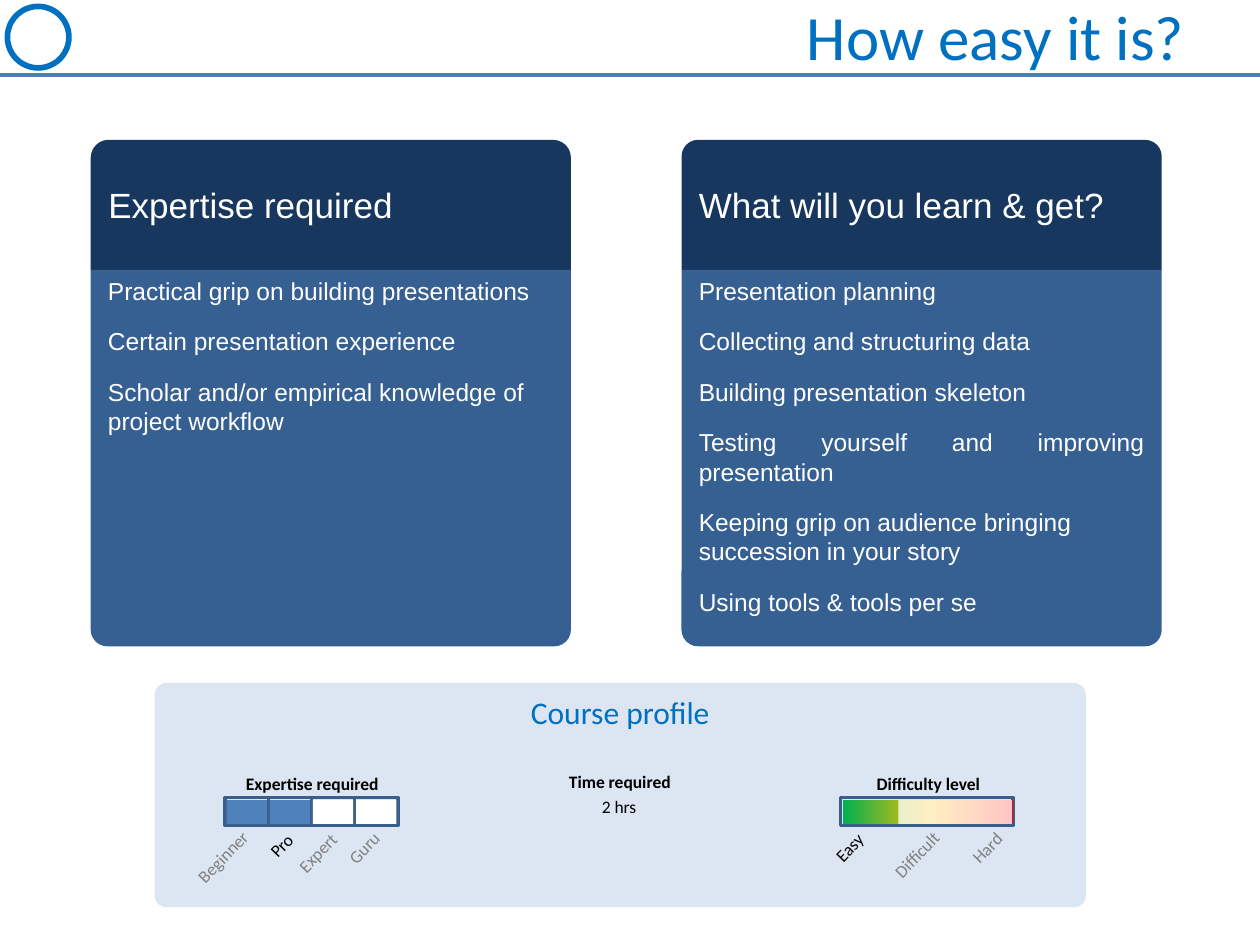
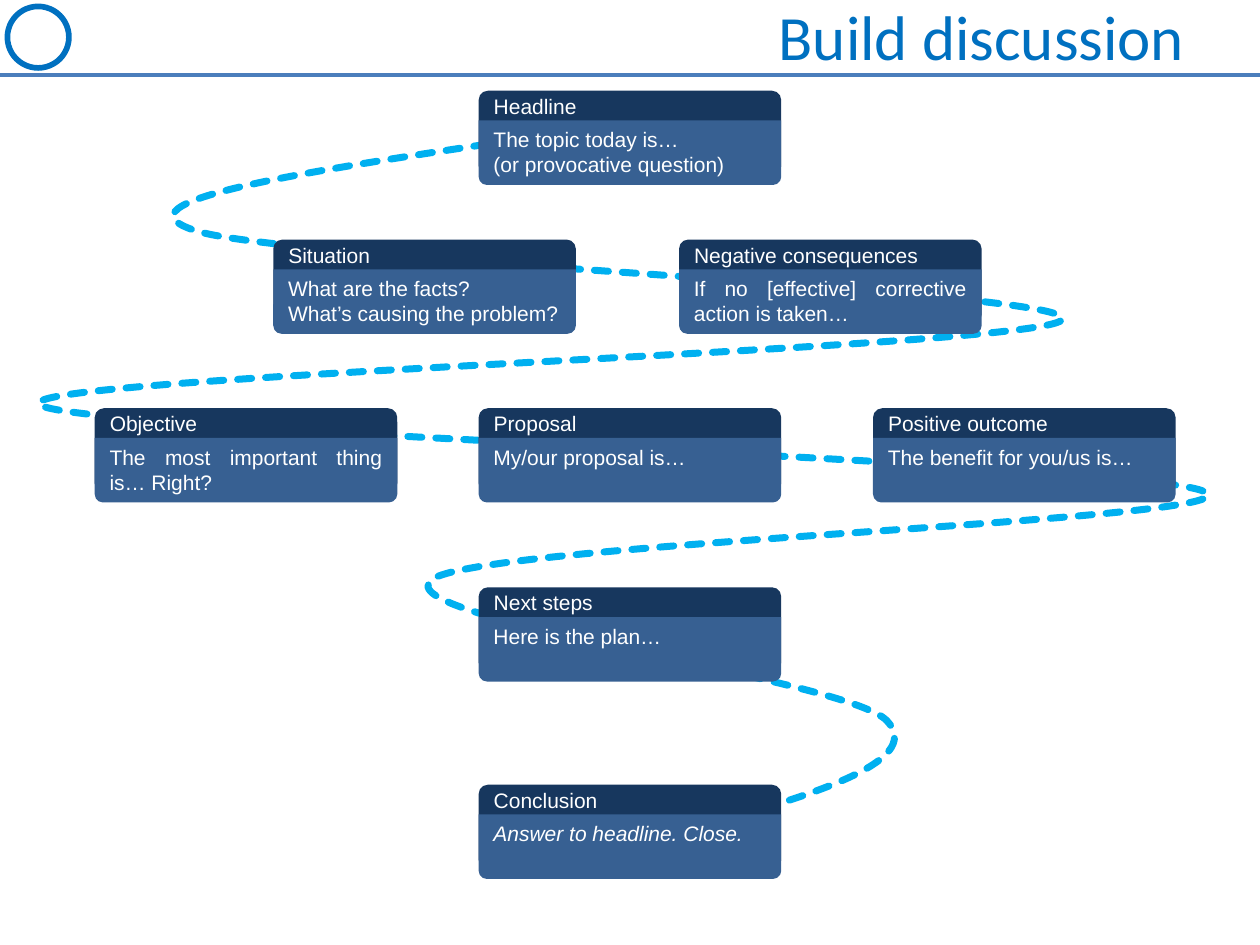
from copy import deepcopy

from lxml.etree import SubElement
from pptx import Presentation
from pptx.dml.color import RGBColor
from pptx.enum.dml import MSO_LINE
from pptx.enum.shapes import MSO_CONNECTOR, MSO_SHAPE
from pptx.enum.text import MSO_ANCHOR, MSO_AUTO_SIZE, PP_ALIGN
from pptx.oxml.ns import qn
from pptx.util import Cm, Pt

NAVY, STEEL, PALE, BLUE = "17375E", "376092", "DCE6F2", "0070C0"
RULE, ROUTE, FRAME, LEVEL = "4B7EBC", "00B0F0", "3A5F8C", "4F81BD"
WHITE, BLACK, GREY = "FFFFFF", "000000", "808080"
JUSTIFY, LEFT, CENTER = PP_ALIGN.JUSTIFY, PP_ALIGN.LEFT, PP_ALIGN.CENTER

PANELS = [
    (1.83, 0.137, "Expertise required", [
        ("Practical grip on building presentations", JUSTIFY),
        ("Certain presentation experience", JUSTIFY),
        ("Scholar and/or empirical knowledge of project workflow", LEFT)]),
    (13.74, 0.127, "What will you learn & get?", [
        ("Presentation planning", JUSTIFY),
        ("Collecting and structuring data", JUSTIFY),
        ("Building presentation skeleton", JUSTIFY),
        ("Testing yourself and improving presentation", JUSTIFY),
        ("Keeping grip on audience bringing succession in your story", LEFT),
        ("Using tools & tools per se", JUSTIFY)]),
]
EXPERTISE = [("Beginner", 0.48, 3.15, 1.8, GREY), ("Pro", 2.06, 2.92, 1.02, BLACK),
             ("Expert", 2.57, 3.07, 1.45, GREY), ("Guru", 3.61, 2.97, 1.24, GREY)]
DIFFICULTY = [("Easy", 13.44, 2.97, 1.14, BLACK), ("Difficult", 14.55, 3.1, 1.65, GREY),
              ("Hard", 16.18, 2.97, 1.22, GREY)]
CARDS = [
    (9.65, 1.83, "Headline", ["The topic today is…", "(or provocative question)"]),
    (5.51, 4.83, "Situation", ["What are the facts?", "What’s causing the problem?"]),
    (13.69, 4.83, "Negative consequences",
     ["If no [effective] corrective action is taken…"]),
    (1.91, 8.23, "Objective", ["The most important thing is… Right?"]),
    (9.65, 8.23, "Proposal", ["My/our proposal is…"]),
    (17.6, 8.23, "Positive outcome", ["The benefit for you/us is…"]),
    (9.65, 11.84, "Next steps", ["Here is the plan…"]),
    (9.65, 15.82, "Conclusion", ["Answer to headline. Close."]),
]
ROUTE_POINTS = [
    (10.39, 2.82),
    (6.25, 3.45), (2.11, 4.06), (3.94, 4.65),
    (5.77, 5.26), (21.92, 5.87), (21.41, 6.45),
    (20.88, 7.04), (0.3, 7.57), (0.79, 8.15),
    (1.27, 8.71), (22.96, 9.3), (24.28, 9.91),
    (25.6, 10.49), (9.78, 10.92), (8.71, 11.68),
    (7.65, 12.47), (17.07, 13.67), (17.88, 14.53),
    (18.69, 15.39), (16.15, 16.1), (13.61, 16.81),
]


def rgb(color):
    """Turn a hex string into a colour."""
    return RGBColor.from_string(color)


def add_box(shapes, kind, box, fill=None, line=None, weight=2, adj=()):
    """Add a flat preset shape in a box given in centimetres."""
    sp = shapes.add_shape(kind, *map(Cm, box))
    sp.shadow.inherit = False
    for i, value in enumerate(adj):
        sp.adjustments[i] = value
    if fill:
        sp.fill.solid()
        sp.fill.fore_color.rgb = rgb(fill)
    else:
        sp.fill.background()
    if line:
        sp.line.color.rgb = rgb(line)
        sp.line.width = Pt(weight)
    else:
        sp.line.fill.background()
    return sp


def write(sp, lines, size, color, font="Arial", anchor=MSO_ANCHOR.TOP,
          before=0, bold=False, italic=False):
    """Fill a shape with (text, alignment) paragraphs in one style."""
    tf = sp.text_frame
    tf.word_wrap = True
    tf.vertical_anchor = anchor
    for i, (text, align) in enumerate(lines):
        p = tf.add_paragraph() if i else tf.paragraphs[0]
        p.text, p.alignment = text, align
        p.space_before = Pt(before)
        p.font.name, p.font.size = font, Pt(size)
        p.font.color.rgb = rgb(color)
        p.font.bold, p.font.italic = bold, italic
    return tf


def add_label(shapes, text, box, color=BLACK, align=CENTER, bold=False):
    """Add a small text box."""
    sp = shapes.add_textbox(*map(Cm, box))
    tf = write(sp, [(text, align)], 10, color, "Calibri", bold=bold)
    tf.auto_size = MSO_AUTO_SIZE.SHAPE_TO_FIT_TEXT
    return sp


def add_tilted_labels(shapes, x, y, labels):
    """Add the slanted labels below a scale."""
    for text, dx, dy, w, color in labels:
        sp = add_label(shapes, text, (x + dx, y + dy, w, 0.69), color, LEFT)
        sp.text_frame.word_wrap = False
        sp.rotation = 314.1


def style_layout(layout, slide):
    """Place the title, the rule and a plain badge on the shared layout."""
    title = layout.placeholders[0]
    title.left, title.top = Cm(1.27), Cm(-0.08)
    title.width, title.height = Cm(22.86), Cm(1.6)
    rule = slide.shapes.add_connector(
        MSO_CONNECTOR.STRAIGHT, 0, Cm(1.52), Cm(25.4), Cm(1.52))
    rule.line.color.rgb = rgb(RULE)
    rule.line.width = Pt(2.25)
    SubElement(rule.element.spPr, qn("a:effectLst"))
    badge = add_box(slide.shapes, MSO_SHAPE.OVAL, (0.15, 0.13, 1.24, 1.24),
                    line=BLUE, weight=3.25)
    for sp in (rule, badge):
        layout.shapes.element.append(sp.element)


def set_title(slide, text):
    """Write the slide title."""
    tf = write(slide.shapes.title, [(text, PP_ALIGN.RIGHT)], 36, BLUE, "Calibri",
               MSO_ANCHOR.MIDDLE)
    tf.auto_size = MSO_AUTO_SIZE.NONE


def add_panel(slide, x, y, w, corner, heading, items):
    """Add a tall panel with a heading and spaced items."""
    shapes = slide.shapes.add_group_shape().shapes
    head = add_box(shapes, MSO_SHAPE.ROUND_2_SAME_RECTANGLE, (x, y, w, 2.62), NAVY,
                   adj=(corner, 0))
    tf = write(head, [(heading, JUSTIFY)], 20, WHITE, anchor=MSO_ANCHOR.MIDDLE)
    tf.margin_top = 0
    body = add_box(shapes, MSO_SHAPE.ROUND_2_SAME_RECTANGLE, (x, y + 2.62, w, 7.59),
                   STEEL, adj=(0, 0.044))
    write(body, items, 14, WHITE, before=12)


def add_expertise_scale(shapes, x, y):
    """Add the four-step expertise scale."""
    step, top = 0.87, y + 2.31
    for i in range(4):
        add_box(shapes, MSO_SHAPE.RECTANGLE, (x + 1.42 + i * step, top, step, 0.56),
                line=FRAME)
    for i, fill in enumerate([LEVEL, LEVEL, WHITE, WHITE]):
        add_box(shapes, MSO_SHAPE.RECTANGLE,
                (x + 1.45 + i * step, top + 0.05, 0.81, 0.48), fill)
    add_label(shapes, "Expertise required", (x + 1.45, y + 1.68, 3.45, 0.69), bold=True)
    add_tilted_labels(shapes, x, y, EXPERTISE)


def add_difficulty_scale(shapes, x, y):
    """Add the gradient difficulty scale with its upper part veiled."""
    add_box(shapes, MSO_SHAPE.RECTANGLE, (x + 13.82, y + 2.31, 3.48, 0.56), line=FRAME)
    bar = add_box(shapes, MSO_SHAPE.RECTANGLE, (x + 13.87, y + 2.36, 3.43, 0.48))
    bar.fill.gradient()
    bar.fill.gradient_angle = 0
    stops = bar.element.spPr.find(".//" + qn("a:gsLst"))
    stops.append(deepcopy(stops[0]))
    colors = [(0, "00B050"), (0.52, "FFC000"), (1, "FF0000")]
    for stop, (position, color) in zip(bar.fill.gradient_stops, colors):
        stop.position = position
        stop.color.rgb = rgb(color)
    veil = add_box(shapes, MSO_SHAPE.RECTANGLE, (x + 14.99, y + 2.36, 2.29, 0.48), WHITE)
    SubElement(veil.element.spPr.find(".//" + qn("a:srgbClr")), qn("a:alpha"), val="77000")
    add_label(shapes, "Difficulty level", (x + 13.87, y + 1.68, 3.45, 0.69), bold=True)
    add_tilted_labels(shapes, x, y, DIFFICULTY)


def add_profile(slide, x, y, w, h):
    """Add the course profile with its two scales and the time required."""
    shapes = slide.shapes.add_group_shape().shapes
    sp = add_box(shapes, MSO_SHAPE.ROUNDED_RECTANGLE, (x, y, w, h), PALE, adj=(0.052,))
    write(sp, [("Course profile", CENTER)], 18, BLUE, "Calibri")
    add_expertise_scale(shapes, x, y)
    add_difficulty_scale(shapes, x, y)
    add_label(shapes, "Time required", (x + 7.98, y + 1.65, 2.79, 0.69), bold=True)
    add_label(shapes, "2 hrs", (x + 8.46, y + 2.16, 1.8, 0.69))


def add_route(slide, points):
    """Draw a dashed curve through start, then control, control, end triples."""
    start, *rest = [(Cm(x), Cm(y)) for x, y in points]
    builder = slide.shapes.build_freeform(*start)
    builder.add_line_segments(rest, close=False)
    sp = builder.convert_to_shape()
    sp.shadow.inherit = False
    sp.fill.background()
    sp.line.color.rgb = rgb(ROUTE)
    sp.line.width = Pt(4)
    sp.line.dash_style = MSO_LINE.SQUARE_DOT
    sp.element.spPr.find(qn("a:ln")).set("cap", "rnd")
    outline = sp.element.spPr.find(".//" + qn("a:path"))
    segments = outline.findall(qn("a:lnTo"))
    for i in range(0, len(segments), 3):
        curve = SubElement(outline, qn("a:cubicBezTo"))
        for segment in segments[i:i + 3]:
            curve.append(segment[0])
            outline.remove(segment)


def add_card(slide, x, y, w, heading, lines, italic):
    """Add a small card with a heading strip and a body."""
    shapes = slide.shapes.add_group_shape().shapes
    head = add_box(shapes, MSO_SHAPE.ROUNDED_RECTANGLE, (x, y, w, 1.7), NAVY, adj=(0.109,))
    write(head, [(heading, JUSTIFY)], 12, WHITE).margin_top = 0
    body = add_box(shapes, MSO_SHAPE.ROUND_2_SAME_RECTANGLE, (x, y + 0.6, w, 1.3), STEEL,
                   adj=(0, 0.129))
    write(body, [(text, JUSTIFY) for text in lines], 12, WHITE, italic=italic)


def build_course_slide(slide):
    """Build the slide on course demands and gains."""
    set_title(slide, "How easy it is?")
    for x, corner, heading, items in PANELS:
        add_panel(slide, x, 2.82, 9.68, corner, heading, items)
    add_profile(slide, 3.12, 13.77, 18.77, 4.52)


def build_discussion_slide(slide):
    """Build the slide on the path of a discussion."""
    add_route(slide, ROUTE_POINTS)
    set_title(slide, "Build discussion")
    for x, y, heading, lines in CARDS:
        add_card(slide, x, y, 6.1, heading, lines, heading == "Conclusion")


def main():
    """Build and save the presentation."""
    prs = Presentation()
    prs.slide_width, prs.slide_height = Cm(25.4), Cm(19.05)
    layout = prs.slide_layouts[5]
    course, discussion = [prs.slides.add_slide(layout) for _ in range(2)]
    style_layout(layout, course)
    build_course_slide(course)
    build_discussion_slide(discussion)
    prs.save("out.pptx")


main()
